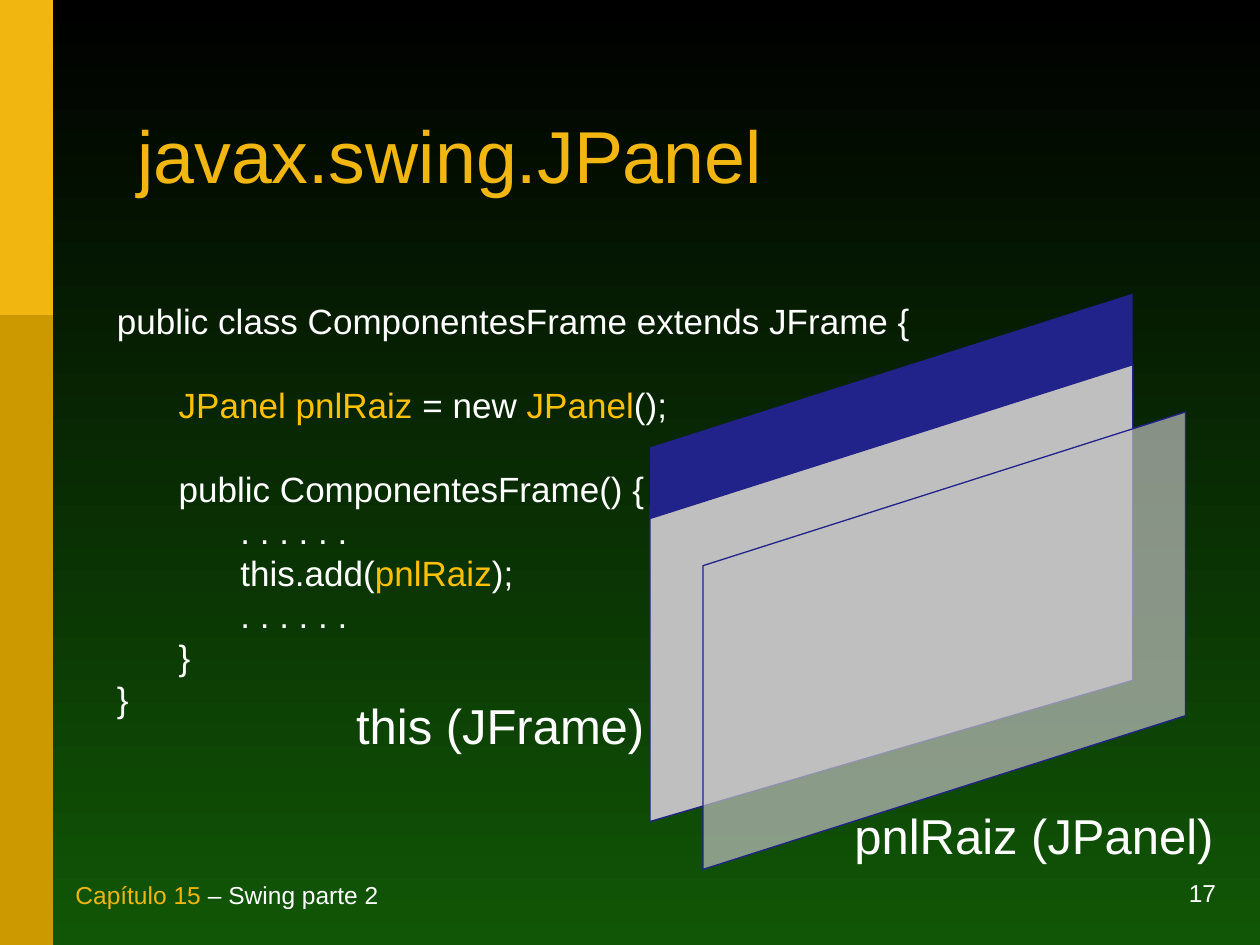
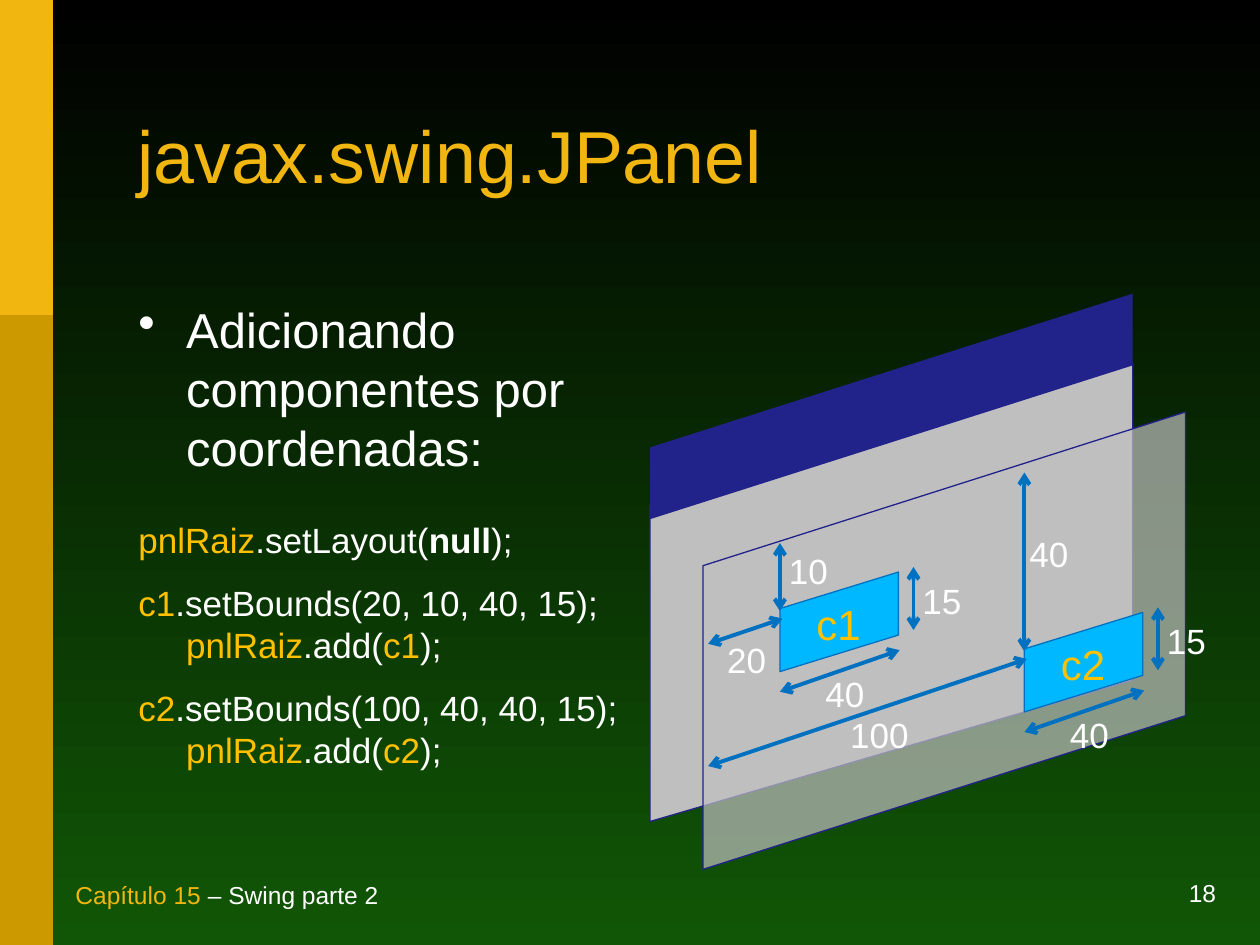
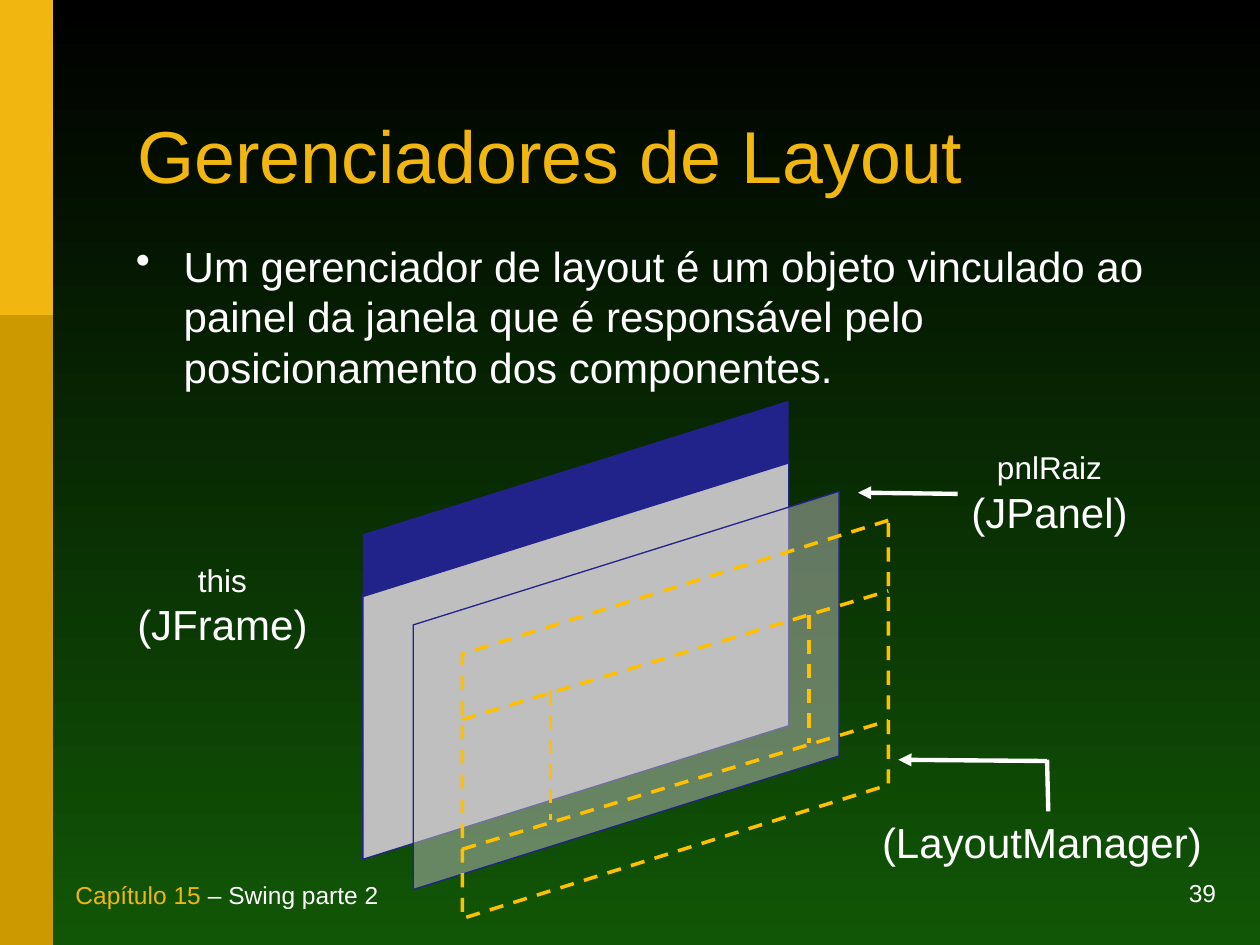
"""Build three slides on Swing panels and layout managers."""
from lxml.etree import SubElement
from pptx import Presentation
from pptx.dml.color import RGBColor
from pptx.enum.dml import MSO_LINE
from pptx.enum.shapes import MSO_CONNECTOR, MSO_SHAPE
from pptx.enum.text import MSO_ANCHOR, PP_ALIGN
from pptx.oxml.ns import qn
from pptx.util import Inches, Pt

BLACK = RGBColor(0x00, 0x00, 0x00)
GREEN = RGBColor(0x11, 0x56, 0x06)
WHITE = RGBColor(0xFF, 0xFF, 0xFF)
GOLD = RGBColor(0xF1, 0xB6, 0x0F)
OCHRE = RGBColor(0xCC, 0x99, 0x00)
AMBER = RGBColor(0xFF, 0xC0, 0x00)
NAVY = RGBColor(0x22, 0x22, 0x8B)
GREY = RGBColor(0xBF, 0xBF, 0xBF)
CYAN = RGBColor(0x00, 0xB8, 0xFF)
BLUE = RGBColor(0x00, 0x70, 0xC0)

FONT = "Arial"
LEAD = 1.2
HANG = 0.38

FOOTER = [("Capítulo 15", GOLD), (" – Swing parte 2", WHITE)]

CODE = [
    (0, 0, [("public class ComponentesFrame extends JFrame {", WHITE)]),
    (1, 24, [("JPanel pnlRaiz", AMBER), (" = new ", WHITE), ("JPanel", AMBER), ("();", WHITE)]),
    (1, 24, [("public ComponentesFrame() {", WHITE)]),
    (2, 0, [(". . . . . .", WHITE)]),
    (2, 0, [("this.add(", WHITE), ("pnlRaiz", AMBER), (");", WHITE)]),
    (2, 0, [(". . . . . .", WHITE)]),
    (1, 0, [("}", WHITE)]),
    (0, 0, [("}", WHITE)]),
]

INTRO = "Adicionando componentes por coordenadas:"
LAYOUT = [("pnlRaiz", AMBER), (".setLayout(", WHITE), ("null", WHITE, True), (");", WHITE)]
PARTS = [
    dict(name="c1", at=(6.19, 4.54), bounds=(20, 10, 40, 15), low=5.11, high=4.31,
         left=(5.67, 5.02, 0.51), top=(6.16, 4.31)),
    dict(name="c2", at=(8.13, 4.86), bounds=(100, 40, 40, 15), low=6.08, high=3.75,
         left=(6.65, 5.61, 0.66), top=(8.07, 4.18)),
]

MANAGER = ("Um gerenciador de layout é um objeto vinculado ao painel da janela "
           "que é responsável pelo posicionamento dos componentes.")
GRID = [
    ((4.37, 5.48), (4.37, 6.51)),
    ((3.67, 5.71), (7.05, 4.69)),
    ((3.67, 6.74), (7.05, 5.72)),
    ((6.42, 4.88), (6.42, 5.9)),
]
POINTERS = [
    ((7.6, 3.92), (6.81, 3.91), "triangle"),
    ((8.31, 6.04), (7.13, 6.03), "triangle"),
    ((8.32, 6.44), (8.31, 6.03), None),
]


def frame(slide, x, y, w, h, anchor=MSO_ANCHOR.TOP, wrap=True):
    box = slide.shapes.add_textbox(Inches(x), Inches(y), Inches(w), Inches(h))
    text = box.text_frame
    text.word_wrap = wrap
    text.vertical_anchor = anchor
    return text


def write(text, runs, size, lead=LEAD, indent=0, hang=0, bullet=False,
          before=0, after=0, align=PP_ALIGN.LEFT):
    first = text.paragraphs[0]
    para = text.add_paragraph() if first.runs else first
    props = para._p.get_or_add_pPr()
    props.set("marL", str(Inches(indent)))
    props.set("indent", str(Inches(-hang)))
    if bullet:
        tint = SubElement(props, qn("a:buClr"))
        SubElement(tint, qn("a:srgbClr"), val=str(WHITE))
        SubElement(props, qn("a:buChar"), char="•")
    else:
        para.line_spacing = Pt(size * lead)
    para.alignment = align
    if before:
        para.space_before = Pt(before)
    if after:
        para.space_after = Pt(after)
    for words, color, *bold in runs:
        if words == "\n":
            para.add_line_break()
            continue
        run = para.add_run()
        run.text = words
        run.font.name = FONT
        run.font.size = Pt(size)
        run.font.color.rgb = color
        run.font.bold = bool(bold)


def label(slide, x, y, w, lines, color=WHITE):
    tall = sum(size for _, size in lines) * LEAD / 72 + 0.1
    text = frame(slide, x, y, w, tall, wrap=False)
    text.margin_left = text.margin_right = 0
    for words, size in lines:
        write(text, [(words, color)], size, align=PP_ALIGN.CENTER)


def paint(shape, fill=None, line=None, width=0.75):
    shape.shadow.inherit = False
    if fill is None:
        shape.fill.background()
    else:
        shape.fill.solid()
        shape.fill.fore_color.rgb = fill
    if line is None:
        shape.line.fill.background()
    else:
        shape.line.color.rgb = line
        shape.line.width = Pt(width)


def slant(slide, x, y, w, h, drop, fill=None, line=None, width=0.75, alpha=None):
    """Draw an upright-sided parallelogram that fills the given visible box."""
    shape = slide.shapes.add_shape(
        MSO_SHAPE.PARALLELOGRAM, Inches(x + (w - h) / 2), Inches(y + (h - w) / 2),
        Inches(h), Inches(w))
    shape.adjustments[0] = drop / min(w, h)
    shape.rotation = 90
    props = shape._element.spPr
    props.xfrm.set("flipV", "1")
    paint(shape, fill, line, width)
    if alpha:
        tint = props.find(qn("a:solidFill"))[0]
        SubElement(tint, qn("a:alpha"), val=str(alpha * 1000))
    return shape


def stroke(slide, start, end, color, width, head=None, tail=None, dash=None):
    line = slide.shapes.add_connector(
        MSO_CONNECTOR.STRAIGHT, *[Inches(v) for v in (*start, *end)])
    line.line.color.rgb = color
    line.line.width = Pt(width)
    if dash:
        line.line.dash_style = dash
    for tag, kind in (("a:headEnd", head), ("a:tailEnd", tail)):
        if kind:
            SubElement(line.get_or_add_ln(), qn(tag), type=kind)
    SubElement(line._element.spPr, qn("a:effectLst"))


def window(slide, x, y, w, h, drop, slope, bar, shift, alpha):
    slant(slide, x, y, w, h, slope, GREY, NAVY)
    slant(slide, x, y + bar[0], w, bar[1], drop, NAVY)
    slant(slide, x + shift[0], y + shift[1], w, h, drop, GREY, NAVY, alpha=alpha)


def large(slide):
    window(slide, 5.16, 2.89, 3.83, 3.63, 1.22, 1.12, (-0.56, 1.79), (0.42, 0.38), 70)


def page(deck, title, number):
    slide = deck.slides.add_slide(deck.slide_layouts[6])
    for tall, color in ((7.5, OCHRE), (2.5, GOLD)):
        band = slide.shapes.add_shape(MSO_SHAPE.RECTANGLE, 0, 0, Inches(0.42), Inches(tall))
        paint(band, color)
    count = frame(slide, 7.25, 7, 2.5, 0.25, MSO_ANCHOR.BOTTOM)
    write(count, [(str(number), WHITE)], 14, align=PP_ALIGN.RIGHT)
    write(frame(slide, 0.5, 7, 6.69, 0.27, MSO_ANCHOR.BOTTOM), FOOTER, 14)
    head = frame(slide, 0.99, 0.63, 8.24, 1.29, MSO_ANCHOR.MIDDLE)
    write(head, [(title, GOLD)], 42, lead=LEAD * 0.85)
    return slide


def part(slide, name, at, bounds, low, high, left, top):
    x, y = at
    far, down, wide, tall = bounds
    slant(slide, x, y, 0.94, 0.79, 0.29, CYAN, BLUE)
    label(slide, x + 0.19, y + 0.16, 0.55, [(name, 24)], AMBER)
    arrows = [
        ((5.62, low), (x + 0.02, y + 0.37)),
        ((x, y + 0.31), (x, high)),
        ((x, y + 0.95), (x + 0.95, y + 0.62)),
        ((x + 1.06, y + 0.46), (x + 1.06, y - 0.04)),
    ]
    for start, end in arrows:
        stroke(slide, start, end, BLUE, 2.25, "arrow", "arrow")
    label(slide, *left, [(str(far), 20)])
    label(slide, *top, 0.51, [(str(down), 20)])
    label(slide, x + 0.26, y + 0.75, 0.51, [(str(wide), 20)])
    label(slide, x + 1.03, y + 0.01, 0.51, [(str(tall), 20)])


def panel(deck):
    slide = page(deck, "javax.swing.JPanel", 17)
    large(slide)
    text = frame(slide, 0.83, 2.33, 6.52, 4.19)
    for level, gap, runs in CODE:
        write(text, runs, 20, indent=level * 0.49, before=gap)
    label(slide, 2.73, 5.47, 2.48, [("this (JFrame)", 28)])
    label(slide, 6.68, 6.34, 3.05, [("pnlRaiz (JPanel)", 28)])


def coords(deck):
    slide = page(deck, "javax.swing.JPanel", 18)
    text = frame(slide, 1, 2.33, 4.03, 4.19)
    write(text, [(INTRO, WHITE)], 28, indent=HANG, hang=HANG, bullet=True)
    write(text, LAYOUT, 20, indent=HANG, hang=HANG, before=24, after=12)
    for item in PARTS:
        name = item["name"]
        args = ", ".join(str(v) for v in item["bounds"])
        runs = [(name, AMBER), (f".setBounds({args});", WHITE), ("\n", WHITE),
                ("pnlRaiz", AMBER), (".add(", WHITE), (name, AMBER), (");", WHITE)]
        write(text, runs, 20, indent=HANG, hang=HANG, after=12)
    large(slide)
    for item in PARTS:
        part(slide, **item)


def manager(deck):
    slide = page(deck, "Gerenciadores de Layout", 39)
    text = frame(slide, 0.98, 1.86, 8.23, 1.34)
    write(text, [(MANAGER, WHITE)], 24, indent=HANG, hang=HANG, bullet=True)
    window(slide, 2.88, 3.66, 3.38, 3.16, 1.06, 1.06, (-0.48, 1.56), (0.4, 0.24), 50)
    label(slide, 0.99, 4.4, 1.55, [("this", 18), ("(JFrame)", 24)])
    label(slide, 7.61, 3.51, 1.44, [("pnlRaiz", 18), ("(JPanel)", 24)])
    label(slide, 6.9, 6.43, 2.74, [("(LayoutManager)", 24)])
    edge = slant(slide, 3.67, 4.13, 3.38, 3.16, 1.06, line=AMBER, width=2)
    edge.line.dash_style = MSO_LINE.DASH
    for start, end in GRID:
        stroke(slide, start, end, AMBER, 2, dash=MSO_LINE.DASH)
    for start, end, tail in POINTERS:
        stroke(slide, start, end, WHITE, 2.5, tail=tail)


def main():
    deck = Presentation()
    deck.slide_width, deck.slide_height = Inches(10), Inches(7.5)
    fill = deck.slide_master.background.fill
    fill.gradient()
    fill.gradient_angle = 270
    for stop, color in zip(fill.gradient_stops, (BLACK, GREEN)):
        stop.color.rgb = color
    for build in (panel, coords, manager):
        build(deck)
    deck.save("out.pptx")


if __name__ == "__main__":
    main()
